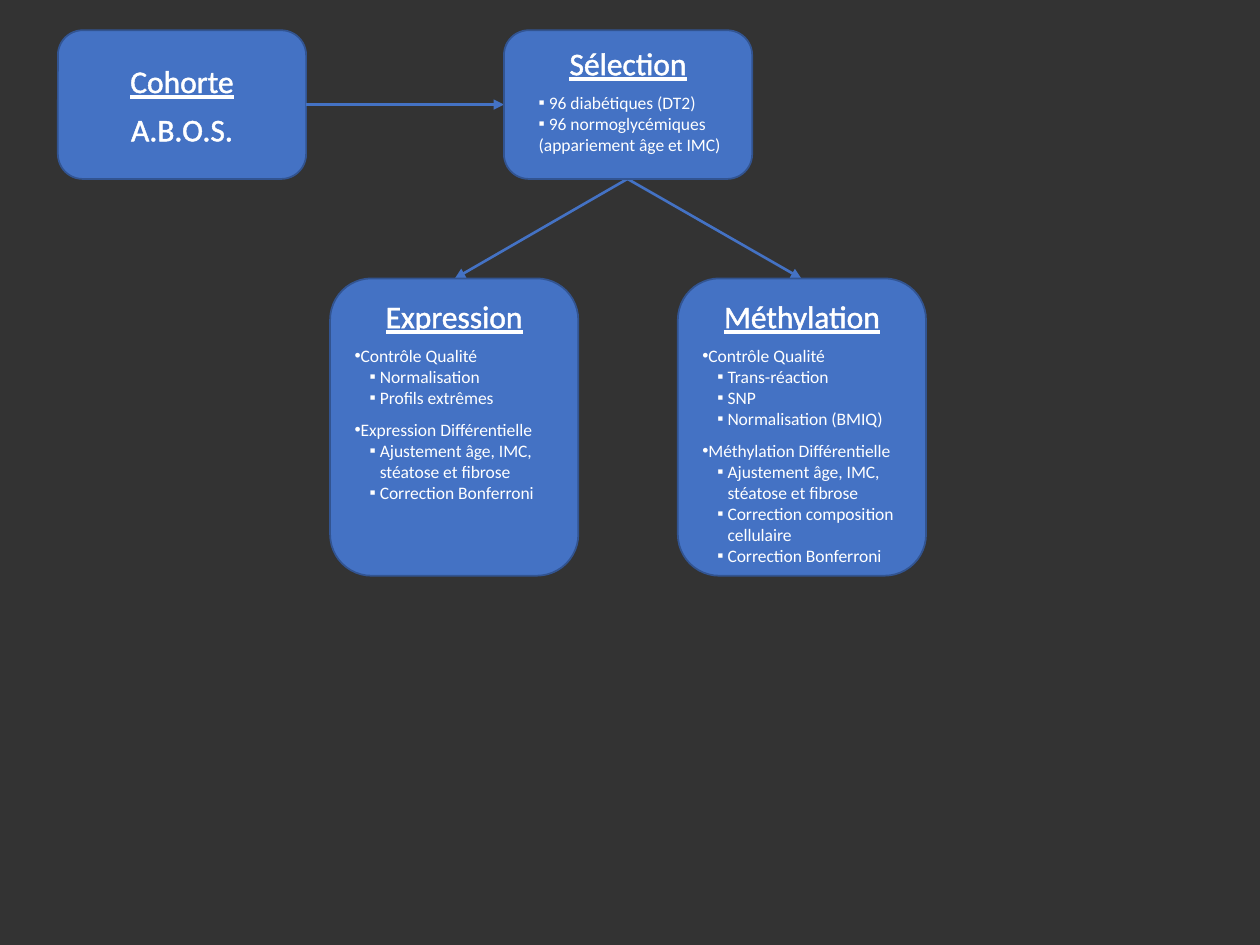
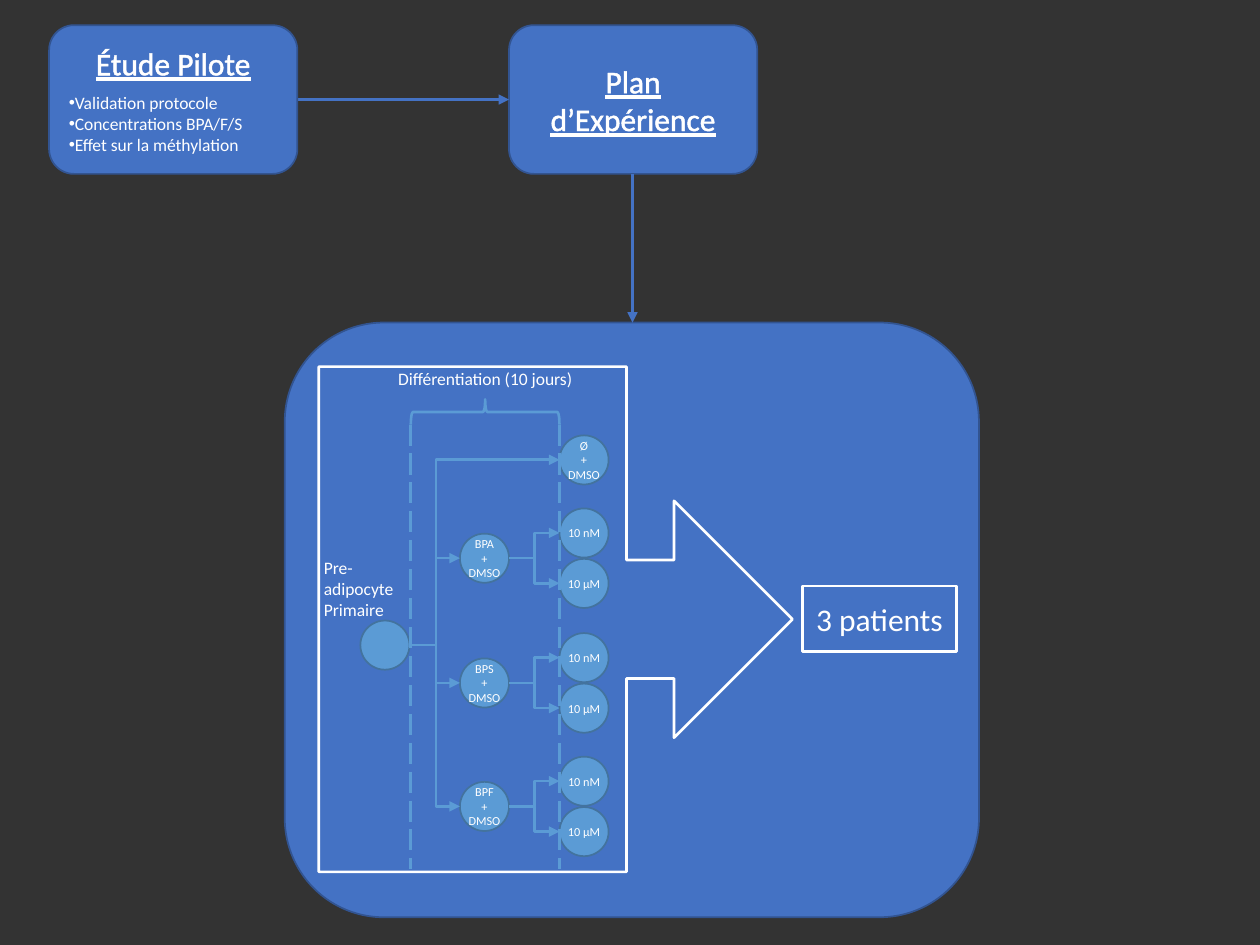
from lxml import etree
from pptx import Presentation
from pptx.dml.color import RGBColor
from pptx.enum.dml import MSO_LINE_DASH_STYLE as DASH
from pptx.enum.shapes import MSO_CONNECTOR as CONN, MSO_SHAPE as SHAPE
from pptx.enum.text import MSO_ANCHOR as ANCHOR, MSO_AUTO_SIZE as AUTO, PP_ALIGN as ALIGN
from pptx.oxml.ns import qn
from pptx.util import Inches, Pt

HEADING, PLAIN, MAIN, SUB, NOTE = range(5)
BULLETS = {MAIN: (0, -0.08, "•"), SUB: (0.2, -0.08, "▪"), NOTE: (0.12, 0, None)}


def rgb(hex_string):
    return RGBColor.from_string(hex_string)


class Deck:
    FONT = "Calibri"
    BACK, BOX, BOX_EDGE = "333333", "4472C4", "325491"
    DISH, DISH_EDGE, WHITE = "5B9BD5", "43739E", "FFFFFF"
    BOX_W, BOX_H, DISH_D = 1.97, 1.18, 0.39

    def __init__(self):
        self.prs = Presentation()
        self.prs.slide_width, self.prs.slide_height = Inches(10), Inches(7.5)
        fill = self.prs.slide_master.background.fill
        fill.solid()
        fill.fore_color.rgb = rgb(self.BACK)

    def new_slide(self):
        self.slide = self.prs.slides.add_slide(self.prs.slide_layouts[6])
        self.shapes = self.slide.shapes

    def start_group(self):
        self.shapes = self.slide.shapes.add_group_shape().shapes

    def end_group(self):
        self.shapes = self.slide.shapes

    def shape(self, kind, x, y, w, h, fill=BOX, edge=BOX_EDGE, width=1):
        sp = self.shapes.add_shape(kind, Inches(x), Inches(y), Inches(w), Inches(h))
        sp.shadow.inherit = False
        if fill:
            sp.fill.solid()
            sp.fill.fore_color.rgb = rgb(fill)
        else:
            sp.fill.background()
        sp.line.color.rgb = rgb(edge)
        sp.line.width = Pt(width)
        return sp

    def style(self, p, size, align=ALIGN.CENTER):
        p.alignment = align
        for r in p.runs:
            r.font.name = self.FONT
            r.font.size = Pt(size)
            r.font.color.rgb = rgb(self.WHITE)

    def set_text(self, sp, text, size, align=ALIGN.CENTER, inset=None):
        tf = sp.text_frame
        tf.word_wrap = True
        if inset is not None:
            tf.margin_left = tf.margin_right = Inches(inset)
            tf.margin_top = tf.margin_bottom = Inches(inset)
        tf.text = text
        for p in tf.paragraphs:
            self.style(p, size, align)

    def outline(self, p, width):
        for r in p.runs:
            ln = etree.Element(qn("a:ln"), w=str(Pt(width)))
            fill = etree.SubElement(ln, qn("a:solidFill"))
            etree.SubElement(fill, qn("a:srgbClr"), val=self.WHITE)
            r._r.get_or_add_rPr().insert(0, ln)

    def bullet(self, p, kind):
        margin, indent, mark = BULLETS[kind]
        pPr = p._p.get_or_add_pPr()
        pPr.set("marL", str(Inches(margin)))
        pPr.set("indent", str(Inches(indent)))
        if mark:
            etree.SubElement(pPr, qn("a:buFont"), typeface="Arial")
            etree.SubElement(pPr, qn("a:buChar"), char=mark)

    def box(self, x, y, lines, h=BOX_H, anchor=ANCHOR.TOP):
        sp = self.shape(SHAPE.ROUNDED_RECTANGLE, x, y, self.BOX_W, h)
        tf = sp.text_frame
        tf.word_wrap = True
        tf.vertical_anchor = anchor
        tf.text = "\n".join(text for _, text in lines)
        previous = None
        for p, (kind, _) in zip(tf.paragraphs, lines):
            if kind in BULLETS:
                self.style(p, 10, ALIGN.LEFT)
                if kind == MAIN and previous == SUB:
                    p.space_before = Pt(6)
                self.bullet(p, kind)
            else:
                self.style(p, 18)
                self.outline(p, 0.75 if kind == HEADING else 0)
                if kind == HEADING:
                    p.space_after = Pt(6)
                    for r in p.runs:
                        r.font.underline = True
            previous = kind

    def dish(self, x, y, text=""):
        d = self.DISH_D
        sp = self.shape(SHAPE.OVAL, x, y - d / 2, d, d, self.DISH, self.DISH_EDGE)
        if text:
            self.set_text(sp, text, 7, inset=0)

    def label(self, x, y, w, h, text, align, inset=None):
        sp = self.shapes.add_textbox(Inches(x), Inches(y), Inches(w), Inches(h))
        self.set_text(sp, text, 10, align, inset)
        sp.text_frame.auto_size = AUTO.SHAPE_TO_FIT_TEXT

    def line(self, x1, y1, x2, y2, color=BOX, kind=CONN.STRAIGHT, arrow=True):
        cx = self.shapes.add_connector(kind, Inches(x1), Inches(y1), Inches(x2), Inches(y2))
        cx.line.color.rgb = rgb(color)
        cx.line.width = Pt(1.5)
        spPr = cx._element.spPr
        if arrow:
            etree.SubElement(spPr.find(qn("a:ln")), qn("a:tailEnd"), type="triangle")
        else:
            cx.line.dash_style = DASH.LONG_DASH
        etree.SubElement(spPr, qn("a:effectLst"))
        return cx

    def elbow(self, x1, y1, x2, y2, bend=0.2):
        cx = self.line(x1, y1, x2, y2, self.DISH, CONN.ELBOW)
        av = cx._element.spPr.find(qn("a:prstGeom")).find(qn("a:avLst"))
        ratio = round(bend / (x2 - x1) * 100000)
        etree.SubElement(av, qn("a:gd"), name="adj1", fmla=f"val {ratio}")


def cohort_slide(d):
    d.new_slide()
    top, analysis_top = 0.24, 2.21
    d.box(0.46, top, [(HEADING, "Cohorte"), (PLAIN, "A.B.O.S.")], anchor=ANCHOR.MIDDLE)
    d.line(2.43, 0.83, 4, 0.83)
    for x in (3.61, 6.36):
        d.line(4.98, 1.42, x, analysis_top)
    adjustment = (SUB, "Ajustement âge, IMC, stéatose et fibrose")
    correction = (SUB, "Correction Bonferroni")
    methylation = [
        (HEADING, "Méthylation"),
        (MAIN, "Contrôle Qualité"),
        (SUB, "Trans-réaction"),
        (SUB, "SNP"),
        (SUB, "Normalisation (BMIQ)"),
        (MAIN, "Méthylation Différentielle"),
        adjustment,
        (SUB, "Correction composition cellulaire"),
        correction,
    ]
    expression = [
        (HEADING, "Expression"),
        (MAIN, "Contrôle Qualité"),
        (SUB, "Normalisation"),
        (SUB, "Profils extrêmes"),
        (MAIN, "Expression Différentielle"),
        adjustment,
        correction,
    ]
    for x, lines in ((5.38, methylation), (2.62, expression)):
        d.box(x, analysis_top, lines, h=2.36)
    d.box(4, top, [
        (HEADING, "Sélection"),
        (SUB, "96 diabétiques (DT2)"),
        (SUB, "96 normoglycémiques"),
        (NOTE, "(appariement âge et IMC)"),
    ])


def culture_diagram(d):
    cell_x, mix_x, dose_x = 2.86, 3.65, 4.44
    cell_y, control_y = 5.12, 3.65
    cell_right, mix_right = 3.26, 4.04
    mixes = {"BPA": 4.43, "BPS": 5.42, "BPF": 6.4}
    doses = {"10 nM": -0.2, "10 µM": 0.2}

    d.start_group()
    d.shape(SHAPE.ROUNDED_RECTANGLE, 2.26, 2.56, 5.51, 4.72)
    d.shape(SHAPE.RIGHT_ARROW_CALLOUT, 2.53, 2.91, 3.76, 4.01, edge=d.WHITE, width=1.5)
    d.dish(cell_x, cell_y)
    d.dish(dose_x, control_y, "Ø\n+\nDMSO")
    for name, y in mixes.items():
        d.dish(mix_x, y, f"{name}\n+\nDMSO")
        for dose, dy in doses.items():
            d.dish(dose_x, y + dy, dose)
    d.elbow(cell_right, cell_y, dose_x, control_y)
    for y in mixes.values():
        d.elbow(cell_right, cell_y, mix_x, y)
        for dy in doses.values():
            d.elbow(mix_right, y, dose_x, y + dy)
    brace = d.shape(SHAPE.LEFT_BRACE, 3.75, 2.68, 0.2, 1.18, None, d.DISH, 1.5)
    brace.rotation = 90
    d.label(3.01, 2.87, 1.68, 0.27, "Différentiation (10 jours)", ALIGN.CENTER)
    for x in (cell_right, dose_x):
        d.line(x, 3.37, x, 6.9, d.DISH, arrow=False)
    d.label(2.53, 4.38, 0.72, 0.61, "Pre-adipocyte Primaire", ALIGN.LEFT, 0.04)
    patients = d.shape(SHAPE.RECTANGLE, 6.37, 4.65, 1.22, 0.52, edge=d.WHITE, width=1.5)
    d.set_text(patients, "3 patients", 18)
    d.end_group()


def experiment_slide(d):
    d.new_slide()
    top = 0.2
    d.box(4.04, top, [(HEADING, "Plan d’Expérience")], anchor=ANCHOR.MIDDLE)
    d.line(2.36, 0.79, 4.04, 0.79)
    culture_diagram(d)
    d.line(5.02, 1.38, 5.02, 2.56)
    d.box(0.39, top, [
        (HEADING, "Étude Pilote"),
        (MAIN, "Validation protocole"),
        (MAIN, "Concentrations BPA/F/S"),
        (MAIN, "Effet sur la méthylation"),
    ], anchor=ANCHOR.MIDDLE)


def main():
    d = Deck()
    cohort_slide(d)
    experiment_slide(d)
    d.prs.save("out.pptx")


if __name__ == "__main__":
    main()
